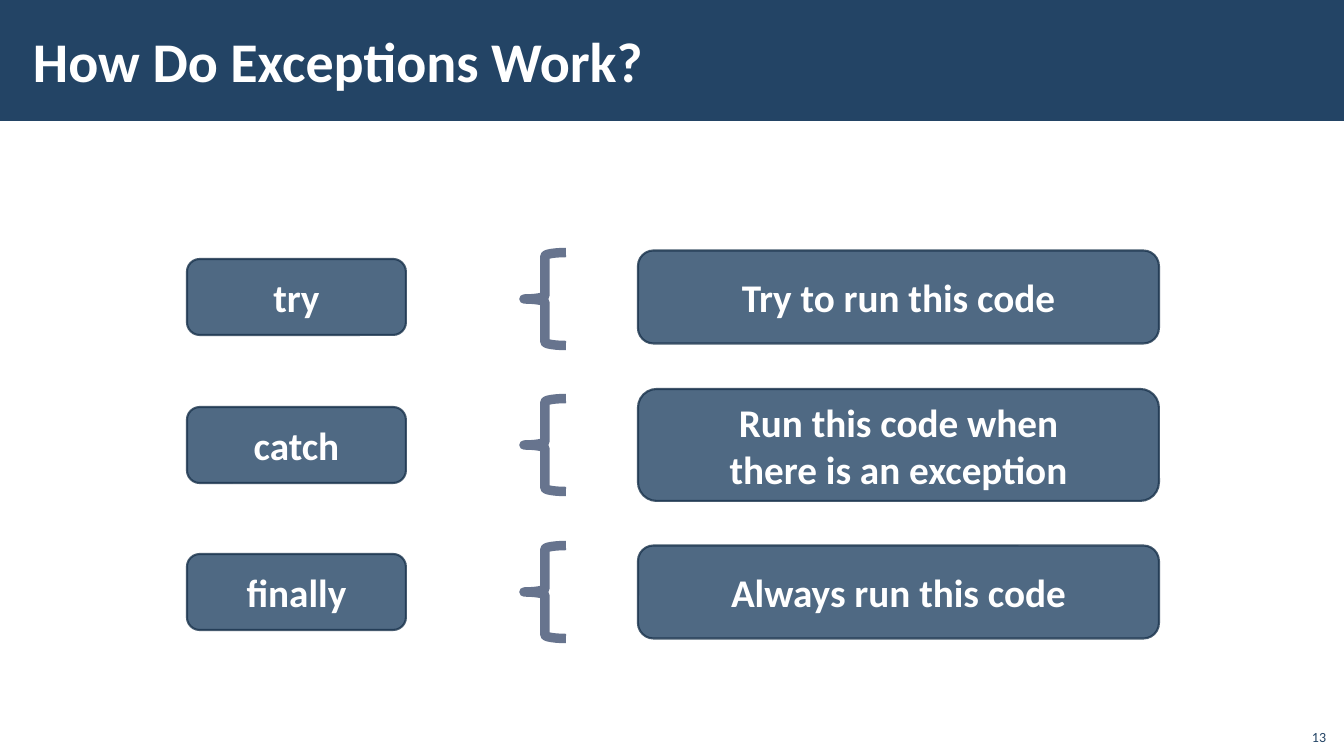
from lxml.etree import SubElement
from pptx import Presentation
from pptx.dml.color import RGBColor
from pptx.enum.shapes import MSO_SHAPE
from pptx.enum.text import MSO_ANCHOR, PP_ALIGN
from pptx.oxml.ns import qn
from pptx.util import Emu, Pt

SCALE = 914400 / 100.8
NAVY, EDGE, SLATE, WHITE = "234465", "1A334C", "67748E", "FFFFFF"

# label, text, height of the text box, middle of the boxes, middle of the brace
ROWS = [
    ("try", "Try to run this code", 93, 297, 299),
    ("catch", "Run this code when\nthere is an exception", 112, 445, 445),
    ("finally", "Always run this code", 93, 592, 592),
]


def px(num):
    return Emu(round(num * SCALE))


def rgb(code):
    return RGBColor.from_string(code)


def fade(fill):
    """Make a solid fill or line fill 80 percent opaque."""
    color = fill.find(".//" + qn("a:srgbClr"))
    SubElement(color, qn("a:alpha"), val="80000")


def add_form(slide, kind, x, y, wide, high, fill=None, line=None, width=1):
    form = slide.shapes.add_shape(kind, px(x), px(y), px(wide), px(high))
    form.shadow.inherit = False
    if fill:
        form.fill.solid()
        form.fill.fore_color.rgb = rgb(fill)
    else:
        form.fill.background()
    if line:
        form.line.color.rgb = rgb(line)
        form.line.width = Pt(width)
    else:
        form.line.fill.background()
    return form


def write(frame, text, size, color, align, anchor, bold=True):
    frame.word_wrap = True
    frame.vertical_anchor = anchor
    para = frame.paragraphs[0]
    para.text = text
    para.alignment = align
    font = para.font
    font.name, font.size, font.bold = "Calibri", Pt(size), bold
    font.color.rgb = rgb(color)


def add_text(slide, x, y, wide, high, *style):
    frame = slide.shapes.add_textbox(px(x), px(y), px(wide), px(high)).text_frame
    write(frame, *style)
    return frame


def add_box(slide, text, x, mid, wide, high):
    """Add a rounded box with its text, centred on the height mid."""
    box = add_form(slide, MSO_SHAPE.ROUNDED_RECTANGLE, x, mid - high / 2,
                   wide, high, NAVY, EDGE, 1.5)
    props = box._element.spPr
    fade(props.find(qn("a:solidFill")))
    fade(props.find(qn("a:ln")))
    write(box.text_frame, text, 28, WHITE, PP_ALIGN.CENTER, MSO_ANCHOR.MIDDLE)


def add_brace(slide, mid):
    high = 93
    add_form(slide, MSO_SHAPE.LEFT_BRACE, 524, mid - high / 2, 42, high,
             line=SLATE, width=6.75)


def main():
    deck = Presentation()
    deck.slide_width, deck.slide_height = px(1344), px(756)
    slide = deck.slides.add_slide(deck.slide_layouts[6])

    add_form(slide, MSO_SHAPE.RECTANGLE, 0, 0, 1344, 121, NAVY)
    title = add_text(slide, 21, 11, 1072, 98, "How Do Exceptions Work?", 40,
                     WHITE, PP_ALIGN.LEFT, MSO_ANCHOR.MIDDLE)
    title.margin_left = title.margin_right = px(12)

    for label, text, high, mid, brace in ROWS:
        add_box(slide, label, 187, mid, 219, 76)
        add_brace(slide, brace)
        add_box(slide, text, 638, mid, 521, high)

    add_text(slide, 1296, 718, 40, 32, "13", 10, NAVY, PP_ALIGN.RIGHT,
             MSO_ANCHOR.BOTTOM, False)
    deck.save("out.pptx")


if __name__ == "__main__":
    main()
